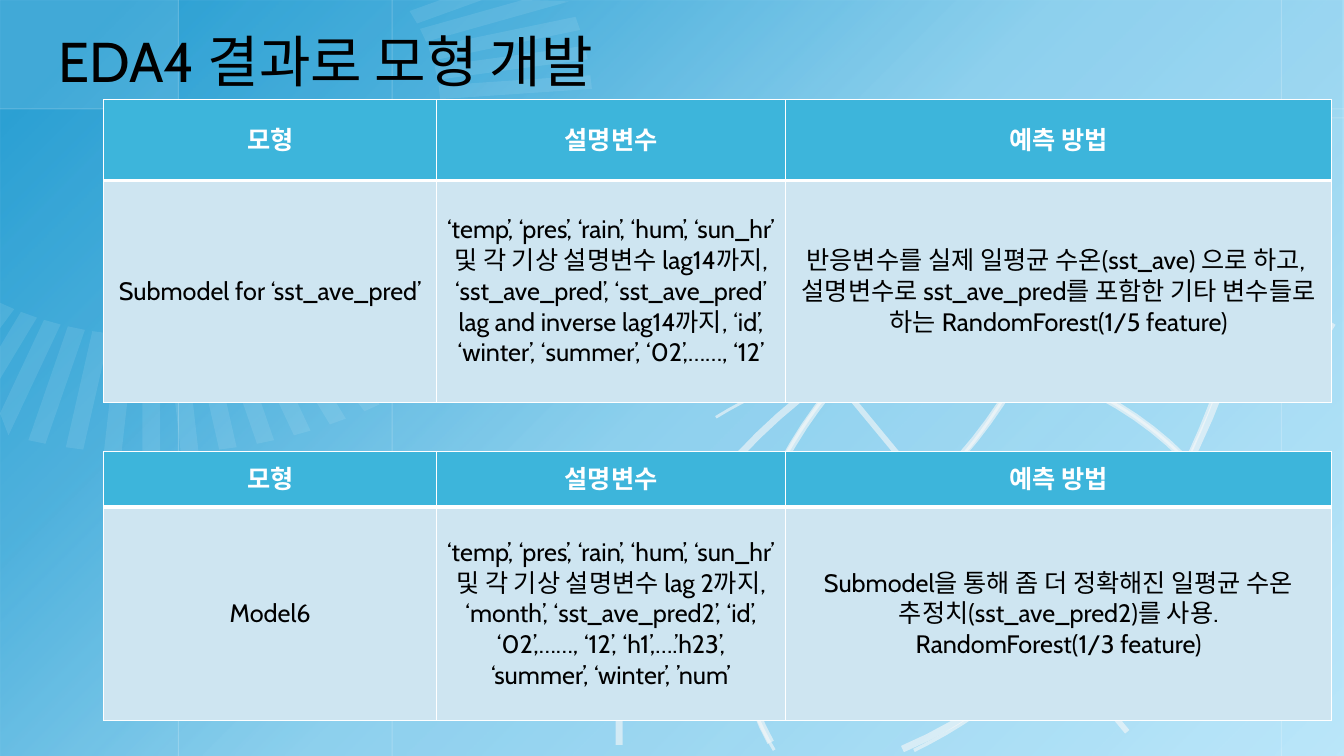
from dataclasses import dataclass
from math import cos, radians, sin

from lxml import etree
from pptx import Presentation
from pptx.dml.color import RGBColor
from pptx.enum.lang import MSO_LANGUAGE_ID
from pptx.enum.shapes import MSO_CONNECTOR, MSO_SHAPE
from pptx.enum.text import MSO_ANCHOR, PP_ALIGN
from pptx.oxml import parse_xml
from pptx.oxml.ns import nsdecls, qn
from pptx.util import Inches, Pt

STRAIGHT = MSO_CONNECTOR.STRAIGHT
RECTANGLE = MSO_SHAPE.RECTANGLE
MIDDLE = MSO_ANCHOR.MIDDLE
LEFT, CENTER = PP_ALIGN.LEFT, PP_ALIGN.CENTER
KOREAN = MSO_LANGUAGE_ID.KOREAN
WIDTH, HEIGHT = 13.33, 7.5


@dataclass(frozen=True)
class Theme:
    font: str = "Cabin"
    title_size: int = 40
    table_size: int = 18
    text: str = "000000"
    white: str = "FFFFFF"
    backdrop: str = "BCE7FA"
    glow: str = "0F92CC"
    spoke: str = "F2FAFE"
    arc: str = "F8F8F8"
    header: str = "3DB5DB"
    body: str = "CEE5F1"


THEME = Theme()
GLOW_STOPS = ((6, 83), (26, 63), (50, 27), (100, 0))
# The tables cover the spokes between these two ranges
SPOKE_ANGLES = (*range(-25, 0, 5), *range(60, 121, 5))
COLUMNS = (3.3, 3.46, 5.42)
HEADINGS = ("모형", "설명변수", "예측 방법")
# Line weight, then start point and cubic control points
ARCS = (
    (5, (6.41, 8.45), (5.62, 6.86), (6.61, 4.65), (8.65, 3.46),
     (10.69, 2.27), (13.05, 2.52), (13.98, 4.03)),
    (5, (7.97, 3.72), (9.72, 3.13), (11.58, 3.84), (12.35, 5.39)),
    (2, (7.1, 4.14), (8.09, 3.53), (9.27, 3.36), (10.32, 3.68),
     (11.37, 4.01), (12.17, 4.78), (12.49, 5.79)),
    (5, (8.73, 3.35), (7.3, 4.67), (6.92, 6.5), (7.85, 7.67)),
    (2.25, (9.53, 2.74), (8.48, 3.39), (7.71, 4.36), (7.44, 5.38),
     (7.16, 6.39), (7.42, 7.35), (8.12, 7.96)),
    (5, (7.33, 5.69), (8.82, 5.63), (10.22, 4.19), (10.65, 2.28)),
    (2, (6.53, 5.68), (7.39, 5.93), (8.37, 5.65), (9.18, 4.9),
     (9.99, 4.16), (10.54, 3.03), (10.68, 1.84)),
    (5, (7.64, 7.73), (9.78, 7.65), (11.8, 5.57), (12.42, 2.83)),
    (2.5, (6.48, 7.71), (7.73, 8.08), (9.13, 7.67), (10.29, 6.6),
     (11.46, 5.52), (12.25, 3.91), (12.45, 2.2)),
)


def paint(fill, color, alpha=100):
    fill.solid()
    fill.fore_color.rgb = RGBColor.from_string(color)
    if alpha < 100:
        node = fill._xPr.find(".//" + qn("a:srgbClr"))
        etree.SubElement(node, qn("a:alpha")).set("val", str(alpha * 1000))


def stroke(shape, color, weight, alpha):
    shape.line.width = Pt(weight)
    paint(shape.line.fill, color, alpha)


def add_rule(slide, start, end, color, weight, alpha):
    points = [Inches(value) for value in (*start, *end)]
    rule = slide.shapes.add_connector(STRAIGHT, *points)
    stroke(rule, color, weight, alpha)
    etree.SubElement(rule._element.spPr, qn("a:effectLst"))


def add_outline(slide, points, closed):
    corners = [(Inches(x), Inches(y)) for x, y in points]
    builder = slide.shapes.build_freeform(*corners[0])
    builder.add_line_segments(corners[1:], close=closed)
    outline = builder.convert_to_shape()
    outline.shadow.inherit = False
    return outline


def add_panel(slide, width, height):
    panel = slide.shapes.add_shape(RECTANGLE, 0, 0, Inches(width), Inches(height))
    panel.shadow.inherit = False
    panel.line.fill.background()
    panel.fill.background()
    return panel


def add_backdrop(slide):
    paint(slide.background.fill, THEME.backdrop)
    glow = add_panel(slide, WIDTH, HEIGHT)
    stops = "".join(
        f'<a:gs pos="{place * 1000}"><a:srgbClr val="{THEME.glow}">'
        f'<a:alpha val="{alpha * 1000}"/></a:srgbClr></a:gs>'
        for place, alpha in GLOW_STOPS)
    gradient = parse_xml(
        f'<a:gradFill {nsdecls("a")} rotWithShape="1"><a:gsLst>{stops}</a:gsLst>'
        '<a:lin ang="2700000" scaled="0"/></a:gradFill>')
    properties = glow._element.spPr
    properties.replace(properties.find(qn("a:noFill")), gradient)

    paint(add_panel(slide, 1.77, 1.08).fill, THEME.white, 10)
    for x in (1.77, 3.89, 12.71):
        add_rule(slide, (x, 0), (x, HEIGHT), THEME.white, 0.75, 20)
    for x, y in ((0, 1.08), (8.44, 1.17)):
        add_rule(slide, (x, y), (WIDTH, y), THEME.white, 0.75, 20)


def add_spokes(slide, center_x, center_y, radius_x, radius_y):
    """Draw an elliptical ring of spokes, cut at the top and left slide edges."""
    inner, half_width = 0.655, 0.02

    def point(radius, offset, angle):
        return (center_x + radius_x * (radius * cos(angle) - offset * sin(angle)),
                center_y + radius_y * (radius * sin(angle) + offset * cos(angle)))

    def reach(offset, angle):
        limits = [1]
        if sin(angle) < 0:
            limits.append((-center_y / radius_y - offset * cos(angle)) / sin(angle))
        if cos(angle) < 0:
            limits.append((-center_x / radius_x + offset * sin(angle)) / cos(angle))
        return max(inner, min(limits))

    for degrees in SPOKE_ANGLES:
        angle = radians(degrees)
        corners = [point(inner, -half_width, angle),
                   point(reach(-half_width, angle), -half_width, angle),
                   point(reach(half_width, angle), half_width, angle),
                   point(inner, half_width, angle)]
        spoke = add_outline(slide, corners, True)
        paint(spoke.fill, THEME.spoke, 10)
        spoke.line.fill.background()


def curve_points(controls, steps=24):
    """Sample joined cubic curves."""
    points = [controls[0]]
    for first in range(0, len(controls) - 1, 3):
        a, b, c, d = controls[first:first + 4]
        for step in range(1, steps + 1):
            t = step / steps
            weights = ((1 - t) ** 3, 3 * t * (1 - t) ** 2, 3 * t * t * (1 - t), t ** 3)
            points.append(tuple(sum(w * p[axis] for w, p in zip(weights, (a, b, c, d)))
                                for axis in (0, 1)))
    return points


def add_arcs(slide):
    for weight, *controls in ARCS:
        visible = [(x, y) for x, y in curve_points(controls)
                   if 0 <= x <= WIDTH and 0 <= y <= HEIGHT]
        arc = add_outline(slide, visible, False)
        arc.fill.background()
        stroke(arc, THEME.arc, weight, 60)
    add_rule(slide, (7.56, 2.88), (11.18, 7.26), THEME.arc, 4, 60)


def write(paragraph, text, size, color, bold, align):
    paragraph.alignment = align
    paragraph._p.get_or_add_pPr().set("hangingPunct", "0")
    for index, line in enumerate(text.split("\n")):
        if index:
            paragraph.add_line_break()
        run = paragraph.add_run()
        run.text = line
        font = run.font
        font.name, font.size, font.bold, font.language_id = THEME.font, Pt(size), bold, KOREAN
        font.color.rgb = RGBColor.from_string(color)
        etree.SubElement(font._element, qn("a:ea")).set("typeface", THEME.font)


def add_title(slide, left, top, width, height):
    title = slide.shapes.title
    title.left, title.top, title.width, title.height = map(
        Inches, (left, top, width, height))
    title.text_frame.vertical_anchor = MIDDLE
    write(title.text_frame.paragraphs[0], "EDA4 결과로 모형 개발",
          THEME.title_size, THEME.text, False, LEFT)
    slide.shapes._spTree.append(title._element)


def format_cell(cell, paragraphs, is_header):
    properties = cell._tc.get_or_add_tcPr()
    for side in "LRTB":
        weight = Pt(3 if is_header and side == "B" else 1)
        properties.append(parse_xml(
            f'<a:ln{side} {nsdecls("a")} w="{weight}" cmpd="sng"><a:solidFill>'
            f'<a:srgbClr val="{THEME.white}"/></a:solidFill></a:ln{side}>'))
    paint(cell.fill, THEME.header if is_header else THEME.body)
    cell.vertical_anchor = MIDDLE
    for index, text in enumerate(paragraphs):
        frame = cell.text_frame
        paragraph = frame.add_paragraph() if index else frame.paragraphs[0]
        write(paragraph, text, THEME.table_size,
              THEME.white if is_header else THEME.text, is_header, CENTER)


def add_model_table(slide, left, top, row_heights, model):
    table = slide.shapes.add_table(
        2, len(COLUMNS), Inches(left), Inches(top),
        Inches(sum(COLUMNS)), Inches(sum(row_heights))).table
    for column, width in zip(table.columns, COLUMNS):
        column.width = Inches(width)
    for row, height in zip(table.rows, row_heights):
        row.height = Inches(height)
    for column, (heading, paragraphs) in enumerate(zip(HEADINGS, model)):
        format_cell(table.cell(0, column), (heading,), True)
        format_cell(table.cell(1, column), paragraphs, False)


SUBMODEL = (
    ("Submodel for ‘sst_ave_pred’",),
    ("‘temp’, ‘pres’, ‘rain’, ‘hum’, ‘sun_hr’ 및 각 기상 설명변수 lag14까지, ‘sst_ave_pred’, "
     "‘sst_ave_pred’ lag and inverse lag14까지, ‘id’, ‘winter’, ‘summer’, ‘02’,……, ‘12’",),
    ("반응변수를 실제 일평균 수온(sst_ave) 으로 하고, ",
     "설명변수로 sst_ave_pred를 포함한 기타 변수들로 하는 RandomForest(1/5 feature)"),
)
MODEL6 = (
    ("Model6",),
    ("‘temp’, ‘pres’, ‘rain’, ‘hum’, ‘sun_hr’ 및 각 기상 설명변수 lag 2까지, ‘month’, "
     "‘sst_ave_pred2’, ‘id’, ‘02’,……, ‘12’, ‘h1’,….’h23’, ‘summer’, ‘winter’, ’num’",),
    ("Submodel을 통해 좀 더 정확해진 일평균 수온 추정치(sst_ave_pred2)를 사용.\n"
     "RandomForest(1/3 feature)",),
)

deck = Presentation()
deck.slide_width, deck.slide_height = Inches(WIDTH), Inches(HEIGHT)
model_slide = deck.slides.add_slide(deck.slide_layouts[5])
add_backdrop(model_slide)
add_spokes(model_slide, 1.5, 1.11, 4.38, 3.39)
add_arcs(model_slide)
add_title(model_slide, 0.48, 0.21, 7.01, 0.77)
add_model_table(model_slide, 1.03, 4.48, (0.55, 2.12), MODEL6)
add_model_table(model_slide, 1.03, 0.99, (0.8, 2.2), SUBMODEL)
deck.save("out.pptx")
